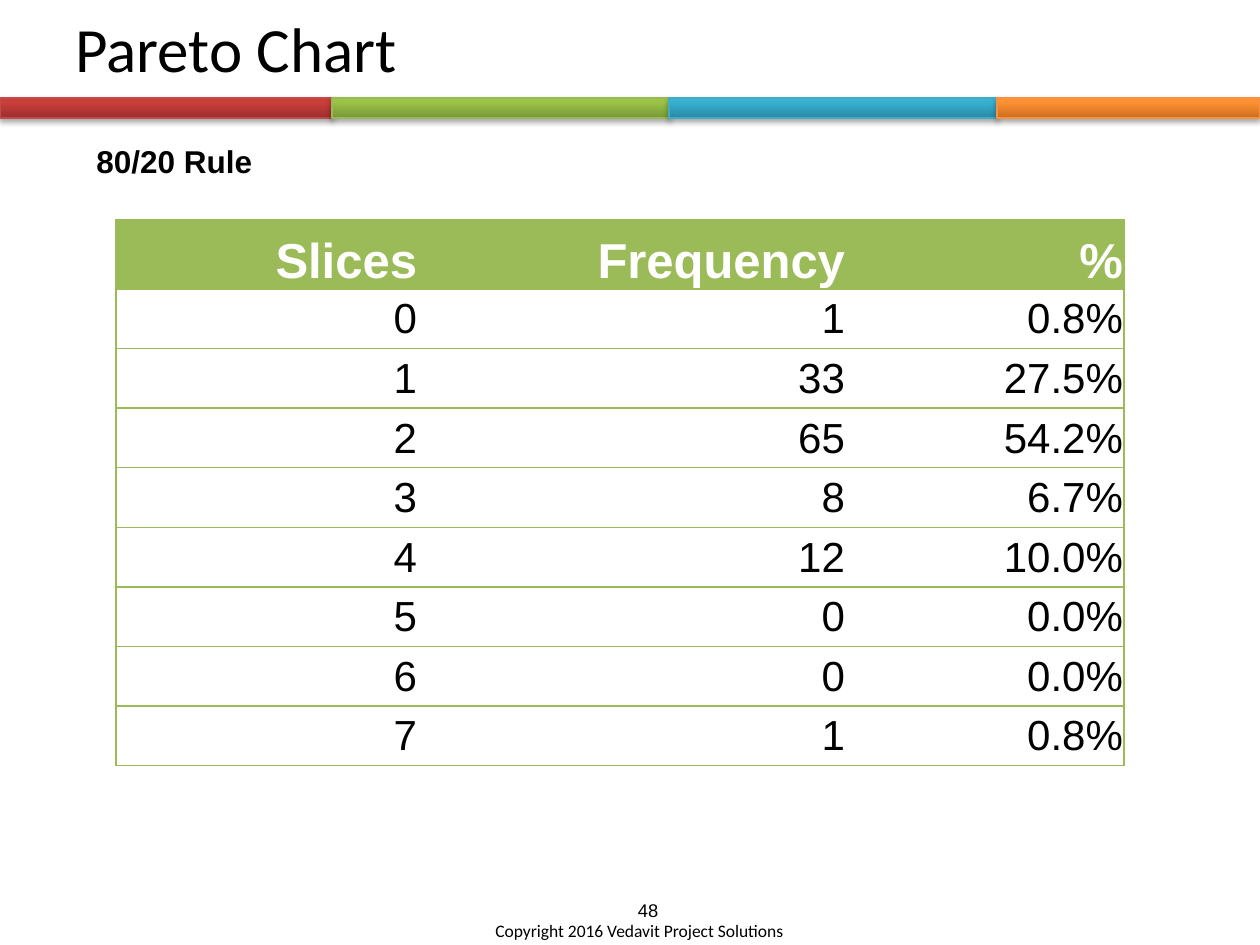
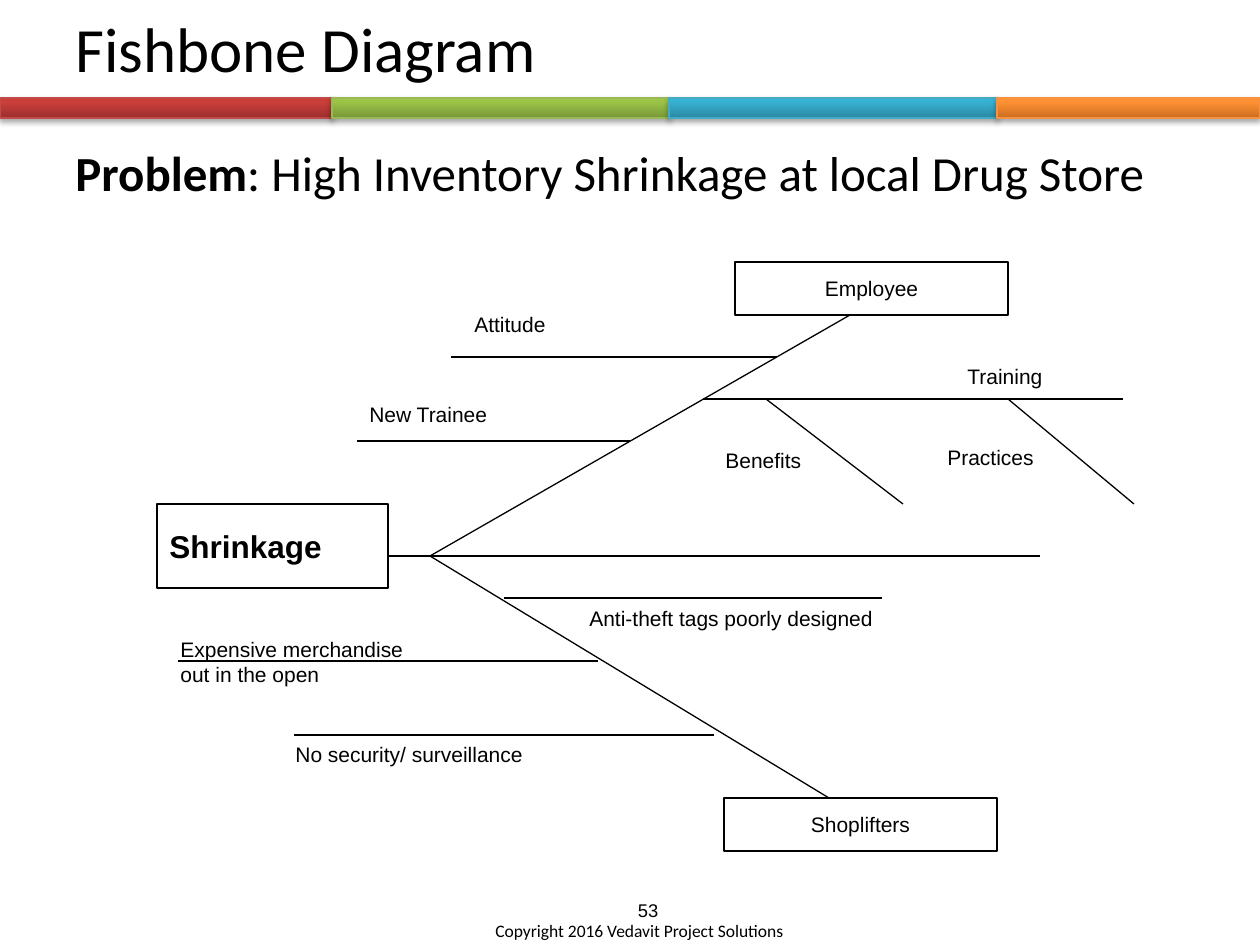
import lxml.etree
import pptx
import pptx.dml.color
import pptx.enum.shapes
import pptx.enum.text
import pptx.oxml.ns
import pptx.util

COLORS = {"text": "000000", "paper": "FFFFFF", "table": "9BBB59"}
BANDS = [
    (0, "BF4C48", ("9C2F2D", "CB3E3A", "CE3B37")),
    (332, "98B955", ("779737", "9BC348", "9DC746")),
    (669, "46AAC5", ("2A88A2", "37B1D2", "34B4D6")),
    (997, "F69240", ("CC6E20", "FF9034", "FF9136")),
]
BAND_TOP, BAND_HEIGHT = 98, 20
GRADIENT_POSITIONS = (0, 80, 100)
SLIDE_WIDTH, SLIDE_HEIGHT = 1260, 945
COPYRIGHT = "Copyright 2016 Vedavit Project Solutions"

PARETO_HEADER = ("Slices", "Frequency", "%")
PARETO_ROWS = [
    ("0", "1", "0.8%"),
    ("1", "33", "27.5%"),
    ("2", "65", "54.2%"),
    ("3", "8", "6.7%"),
    ("4", "12", "10.0%"),
    ("5", "0", "0.0%"),
    ("6", "0", "0.0%"),
    ("7", "1", "0.8%"),
]
TABLE_BOX = (116, 220, 1008, 546)
COLUMN_WIDTHS = (302, 428, 278)
HEADER_HEIGHT = 69

PROBLEM = [("Problem", True), (": High Inventory Shrinkage at local Drug Store", False)]
FISHBONE_BOXES = [
    ("Shrinkage", (157, 504, 231, 84), 18, True, "LEFT"),
    ("Shoplifters", (724, 798, 273, 53), 12, False, "CENTER"),
    ("Employee", (735, 262, 273, 53), 12, False, "CENTER"),
]
FISHBONE_LABELS = [
    ("Anti-theft tags poorly designed", (577, 599, 378, 38)),
    ("Expensive merchandise out in the open", (168, 630, 273, 63)),
    ("No security/ surveillance", (283, 735, 399, 38)),
    ("Attitude", (462, 305, 168, 38)),
    ("New Trainee", (357, 395, 199, 38)),
    ("Training", (955, 357, 168, 38)),
    ("Benefits", (713, 441, 158, 38)),
    ("Practices", (935, 438, 158, 38)),
]
FISHBONE_LINES = [
    (388, 556, 1040, 556),
    (430, 556, 829, 798),
    (430, 556, 850, 315),
    (598, 661, 178, 661),
    (882, 598, 504, 598),
    (294, 735, 714, 735),
    (451, 357, 777, 357),
    (357, 441, 630, 441),
    (1123, 399, 703, 399),
    (766, 399, 903, 504),
    (1008, 399, 1134, 504),
]


def px(length):
    return pptx.util.Emu(round(length * 914400 / 126))


def rgb(value):
    return pptx.dml.color.RGBColor.from_string(value)


def add_element(parent, tag, **attributes):
    element = lxml.etree.SubElement(parent, pptx.oxml.ns.qn(tag))
    for name, value in attributes.items():
        element.set(name, str(value))
    return element


def add_run(paragraph, text, size, font="Arial", bold=False, color=COLORS["text"]):
    run = paragraph.add_run()
    run.text = text
    run.font.size = pptx.util.Pt(size)
    run.font.name = font
    run.font.bold = bold
    run.font.color.rgb = rgb(color)


def write_text(shape, runs, size, font="Arial", align="LEFT", anchor="TOP", wrap=True):
    frame = shape.text_frame
    frame.word_wrap = wrap
    frame.vertical_anchor = getattr(pptx.enum.text.MSO_ANCHOR, anchor)
    paragraph = frame.paragraphs[0]
    paragraph.alignment = getattr(pptx.enum.text.PP_ALIGN, align)
    for text, bold in runs:
        add_run(paragraph, text, size, font, bold)


def add_text(slide, box, runs, size, **style):
    write_text(slide.shapes.add_textbox(*map(px, box)), runs, size, **style)


def add_rectangle(slide, box, line_color):
    shape = slide.shapes.add_shape(
        pptx.enum.shapes.MSO_SHAPE.RECTANGLE, *map(px, box))
    shape.shadow.inherit = False
    shape.line.color.rgb = rgb(line_color)
    shape.line.width = pptx.util.Pt(0.75)
    return shape


def add_bands(slide):
    ends = [left for left, _, _ in BANDS[1:]] + [SLIDE_WIDTH]
    for (left, line_color, stops), right in zip(BANDS, ends):
        band = add_rectangle(
            slide, (left, BAND_TOP, right - left, BAND_HEIGHT), line_color)
        band.fill.gradient()
        band.fill.gradient_angle = 90
        properties = band._element.spPr
        stop_list = properties.find(".//" + pptx.oxml.ns.qn("a:gsLst"))
        for stop in list(stop_list):
            stop_list.remove(stop)
        for position, color in zip(GRADIENT_POSITIONS, stops):
            stop = add_element(stop_list, "a:gs", pos=position * 1000)
            add_element(stop, "a:srgbClr", val=color)
        effects = properties.find(pptx.oxml.ns.qn("a:effectLst"))
        shadow = add_element(effects, "a:outerShdw", blurRad=40000, dist=23000,
                             dir=5400000, rotWithShape=0)
        shadow_color = add_element(shadow, "a:srgbClr", val=COLORS["text"])
        add_element(shadow_color, "a:alpha", val=35000)


def add_slide(presentation, title, number):
    slide = presentation.slides.add_slide(presentation.slide_layouts[6])
    add_bands(slide)
    add_text(slide, (63, -32, 1134, 158), [(title, False)], 36,
             font="Calibri", anchor="MIDDLE")
    add_text(slide, (501, 893, 294, 50), [(number, False)], 10.5, align="CENTER")
    add_text(slide, (483, 914, 399, 50), [(COPYRIGHT, False)], 10, font="Calibri")
    return slide


def set_borders(cell, visible_sides):
    properties = cell._tc.get_or_add_tcPr()
    for index, side in enumerate("LRTB"):
        border = add_element(properties, "a:ln" + side, w=12700)
        if side in visible_sides:
            fill = add_element(border, "a:solidFill")
            add_element(fill, "a:srgbClr", val=COLORS["table"])
        else:
            add_element(border, "a:noFill")
        properties.insert(index, border)


def add_pareto_table(slide):
    rows = [PARETO_HEADER] + PARETO_ROWS
    table = slide.shapes.add_table(
        len(rows), len(PARETO_HEADER), *map(px, TABLE_BOX)).table
    table.first_row = False
    table.horz_banding = False
    for column, width in zip(table.columns, COLUMN_WIDTHS):
        column.width = px(width)
    row_height = (TABLE_BOX[3] - HEADER_HEIGHT) / len(PARETO_ROWS)
    last_column = len(PARETO_HEADER) - 1
    for row_index, values in enumerate(rows):
        is_header = row_index == 0
        table.rows[row_index].height = px(HEADER_HEIGHT if is_header else row_height)
        for column_index, value in enumerate(values):
            cell = table.cell(row_index, column_index)
            is_first_body = column_index == 0 and not is_header
            cell.margin_left = px(53 if is_first_body else 1)
            cell.margin_right = cell.margin_top = px(1)
            cell.margin_bottom = 0
            cell.vertical_anchor = (pptx.enum.text.MSO_ANCHOR.BOTTOM if is_header
                                    else pptx.enum.text.MSO_ANCHOR.MIDDLE)
            cell.fill.solid()
            cell.fill.fore_color.rgb = rgb(COLORS["table" if is_header else "paper"])
            sides = {0: "LTB", last_column: "RTB"}.get(column_index, "TB")
            set_borders(cell, sides)
            paragraph = cell.text_frame.paragraphs[0]
            paragraph.alignment = pptx.enum.text.PP_ALIGN.RIGHT
            add_run(paragraph, value, 28 if is_header else 24, bold=is_header,
                    color=COLORS["paper" if is_header else "text"])


def add_fishbone(slide):
    for points in FISHBONE_LINES:
        bone = slide.shapes.add_connector(
            pptx.enum.shapes.MSO_CONNECTOR.STRAIGHT, *map(px, points))
        bone.line.color.rgb = rgb(COLORS["text"])
        bone.line.width = pptx.util.Pt(0.75)
        add_element(bone._element.spPr, "a:effectLst")
    for text, box, size, bold, align in FISHBONE_BOXES:
        shape = add_rectangle(slide, box, COLORS["text"])
        shape.fill.background()
        write_text(shape, [(text, bold)], size, align=align, anchor="MIDDLE")
    for text, box in FISHBONE_LABELS:
        add_text(slide, box, [(text, False)], 12)


def main():
    presentation = pptx.Presentation()
    presentation.slide_width = px(SLIDE_WIDTH)
    presentation.slide_height = px(SLIDE_HEIGHT)

    pareto = add_slide(presentation, "Pareto Chart", "48")
    add_text(pareto, (84, 136, 183, 50), [("80/20 Rule", True)], 18, wrap=False)
    add_pareto_table(pareto)

    fishbone = add_slide(presentation, "Fishbone Diagram", "53")
    add_text(fishbone, (63, 136, 1155, 115), PROBLEM, 28, font="Calibri")
    add_fishbone(fishbone)

    presentation.save("out.pptx")


if __name__ == "__main__":
    main()
